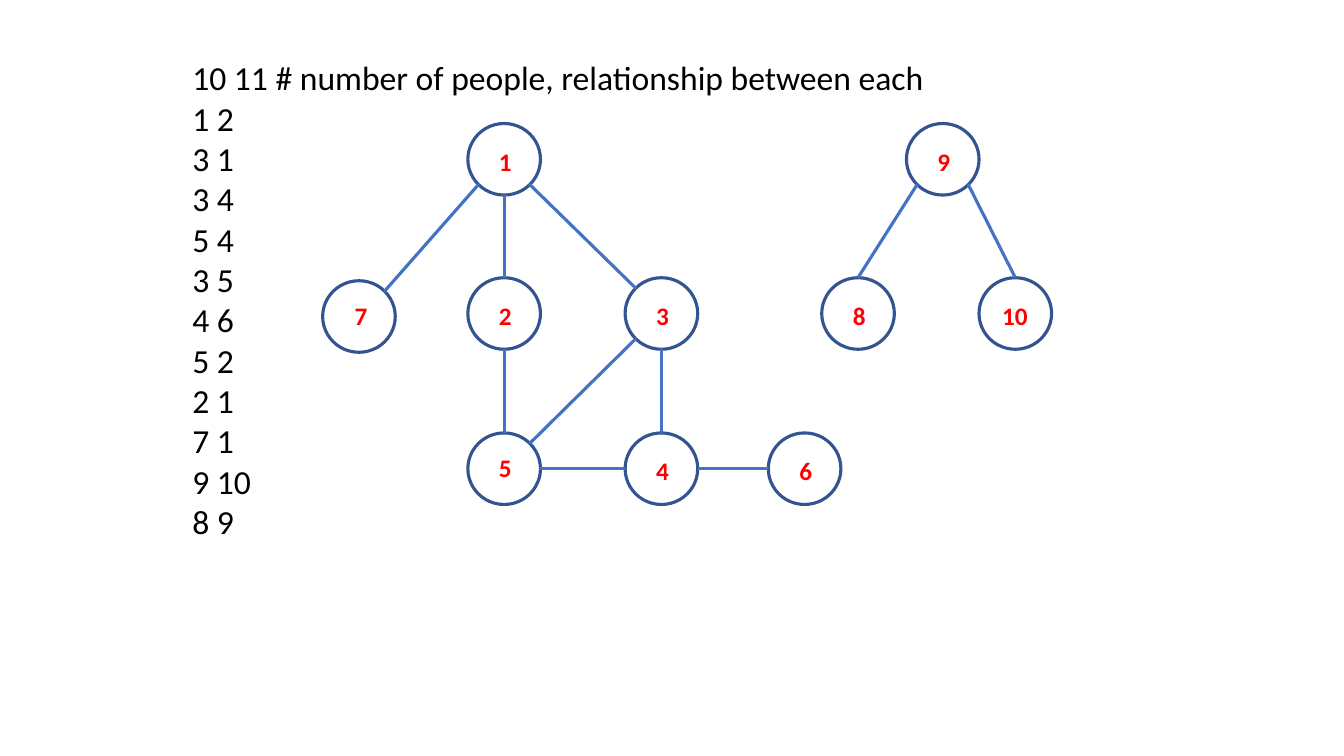
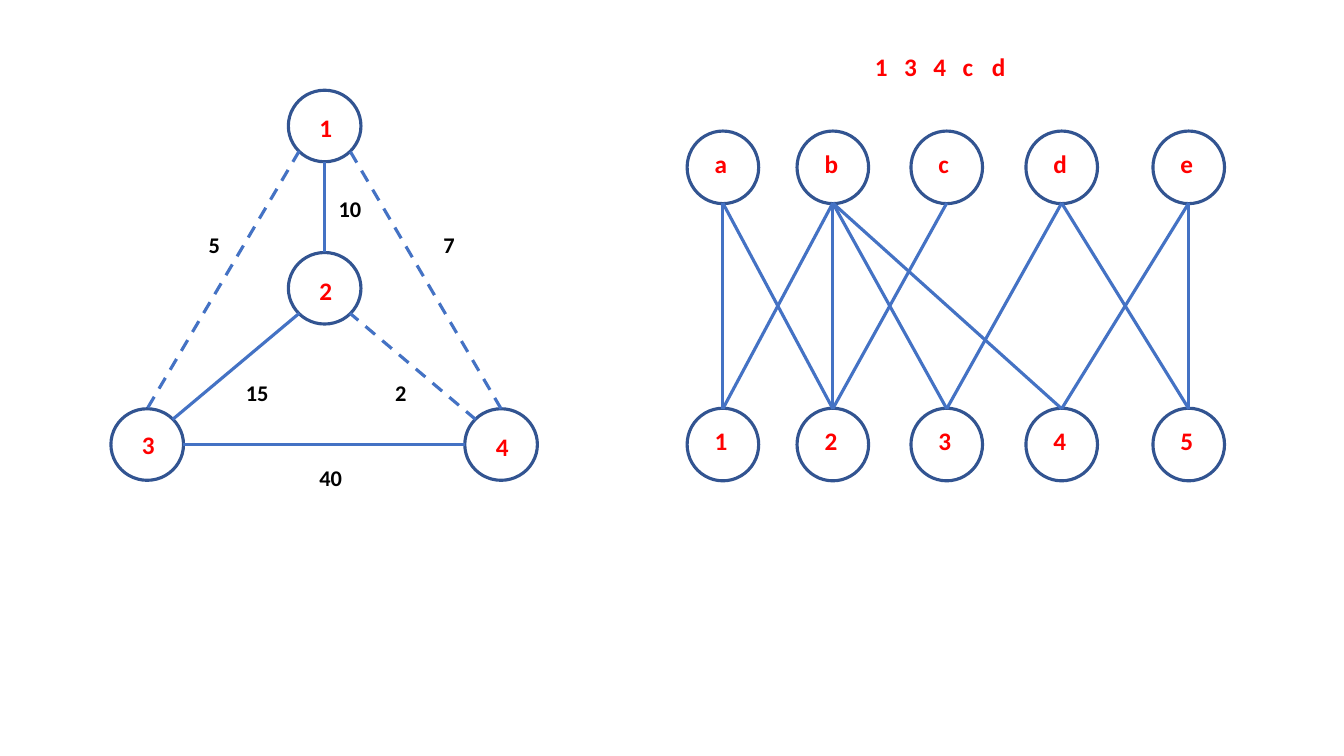
from dataclasses import dataclass
from typing import NamedTuple, Union

from lxml.etree import SubElement
from pptx import Presentation
from pptx.dml.color import RGBColor
from pptx.enum.dml import MSO_LINE
from pptx.enum.shapes import MSO_CONNECTOR, MSO_SHAPE
from pptx.enum.text import MSO_AUTO_SIZE
from pptx.oxml.ns import qn
from pptx.shapes.shapetree import GroupShapes, SlideShapes
from pptx.util import Emu, Inches, Pt

Shapes = Union[SlideShapes, GroupShapes]

# Shared look; the grid has square cells of one inch
CELL = Inches(1)
WIDE, HIGH = 13.33, 7.5
FONT = "Calibri"
HUES = {"fill": "FFFFFF", "ring": "325491", "edge": "4472C4",
        "name": "FF0000", "text": "000000"}
LINE = Pt(2.25)
NODE_W, NODE_H = 0.72, 0.71
TAG_W = 0.63

# Points on a circle's rim, as shares of its size from the centre
RIM = {"n": (0, -0.5), "s": (0, 0.5), "w": (-0.5, 0), "e": (0.5, 0),
       "nw": (-0.35, -0.35), "ne": (0.35, -0.35),
       "sw": (-0.35, 0.35), "se": (0.35, 0.35)}


@dataclass
class Node:
    name: str
    col: float
    row: float
    dx: float = -0.15
    dy: float = -0.18
    turn: int = 0


class Edge(NamedTuple):
    start: str
    out: str
    end: str
    into: str
    dash: bool = False


class Cost(NamedTuple):
    text: str
    col: float
    row: float


def grid(cells: float) -> Emu:
    return Emu(round(cells * CELL))


def hue(key: str) -> RGBColor:
    return RGBColor.from_string(HUES[key])


def add_text(shapes: Shapes, lines: list[str], col: float, row: float,
             wide: float, high: float, size: int, key: str = "name",
             bold: bool = True, tab: float = 0) -> None:
    box = shapes.add_textbox(grid(col), grid(row), grid(wide), grid(high))
    frame = box.text_frame
    frame.word_wrap = True
    frame.auto_size = MSO_AUTO_SIZE.SHAPE_TO_FIT_TEXT
    for i, line in enumerate(lines):
        para = frame.add_paragraph() if i else frame.paragraphs[0]
        if tab:
            stops = SubElement(para._p.get_or_add_pPr(), qn("a:tabLst"))
            for n in range(1, line.count("\t") + 1):
                SubElement(stops, qn("a:tab"), pos=str(grid(n * tab)), algn="l")
        run = para.add_run()
        run.text = line
        run.font.name = FONT
        run.font.size = Pt(size)
        run.font.bold = bold
        run.font.color.rgb = hue(key)


def add_node(shapes: Shapes, node: Node) -> None:
    ring = shapes.add_shape(
        MSO_SHAPE.OVAL, grid(node.col - NODE_W / 2), grid(node.row - NODE_H / 2),
        grid(NODE_W), grid(NODE_H))
    ring.rotation = node.turn
    ring.shadow.inherit = False
    ring.fill.solid()
    ring.fill.fore_color.rgb = hue("fill")
    ring.line.color.rgb = hue("ring")
    ring.line.width = LINE
    add_text(shapes, [node.name], node.col + node.dx, node.row + node.dy,
             TAG_W, 0.4, 18)


def rim(node: Node, side: str) -> tuple[Emu, Emu]:
    x, y = RIM[side]
    return grid(node.col + x * NODE_W), grid(node.row + y * NODE_H)


def add_edge(shapes: Shapes, edge: Edge, nodes: dict[str, Node]) -> None:
    line = shapes.add_connector(
        MSO_CONNECTOR.STRAIGHT, *rim(nodes[edge.start], edge.out),
        *rim(nodes[edge.end], edge.into))
    line.line.color.rgb = hue("edge")
    line.line.width = LINE
    if edge.dash:
        line.line.dash_style = MSO_LINE.DASH
    SubElement(line._element.spPr, qn("a:effectLst"))


def add_graph(shapes: Shapes, nodes: list[Node], edges: list[Edge]) -> None:
    for node in nodes:
        add_node(shapes, node)
    index = {node.name: node for node in nodes}
    for edge in edges:
        add_edge(shapes, edge, index)


deck = Presentation()
deck.slide_width, deck.slide_height = grid(WIDE), grid(HIGH)
blank = deck.slide_layouts[6]

# Slide 1: list of pairs and the people they link
PAIRS = ["10 11 # number of people, relationship between each",
         "1 2", "3 1", "3 4", "5 4", "3 5", "4 6", "5 2", "2 1", "7 1",
         "9 10", "8 9"]
TOP, MID, LOW = 1.58, 3.11, 4.65
PEOPLE = [
    Node("1", 5, TOP), Node("2", 5, MID), Node("3", 6.56, MID),
    Node("7", 3.56, 3.14, -0.14, -0.21), Node("4", 6.56, LOW),
    Node("5", 5, LOW, dy=-0.21), Node("6", 7.98, LOW), Node("8", 8.51, MID),
    Node("10", 10.07, MID, dx=-0.23), Node("9", 9.35, TOP),
]
TIES = [
    Edge("1", "sw", "7", "ne"), Edge("1", "se", "3", "nw"),
    Edge("1", "s", "2", "n"), Edge("2", "s", "5", "n"),
    Edge("3", "sw", "5", "ne"), Edge("3", "s", "4", "n"),
    Edge("4", "w", "5", "e"), Edge("6", "w", "4", "e"),
    Edge("9", "sw", "8", "n"), Edge("10", "n", "9", "se"),
]
shapes = deck.slides.add_slide(blank).shapes
add_text(shapes, PAIRS, 1.81, 0.52, 8.9, 4.95, 24, "text", bold=False)
add_graph(shapes, PEOPLE, TIES)

# Slide 2, left: graph with costs
BASE = 4.41
TOWNS = [Node("1", 3.22, 1.25), Node("3", 1.46, BASE, dy=-0.2),
         Node("4", 4.97, BASE), Node("2", 3.22, 2.86)]
ROADS = [
    Edge("4", "n", "1", "se", True), Edge("1", "sw", "3", "n", True),
    Edge("1", "s", "2", "n"), Edge("4", "nw", "2", "se", True),
    Edge("2", "sw", "3", "ne"), Edge("3", "e", "4", "w"),
]
COSTS = [Cost("5", 1.97, 2.24), Cost("7", 4.3, 2.24), Cost("40", 3.07, 4.56),
         Cost("15", 2.34, 3.71), Cost("2", 3.82, 3.71), Cost("10", 3.26, 1.89)]
shapes = deck.slides.add_slide(blank).shapes
add_graph(shapes, TOWNS, ROADS)
for cost in COSTS:
    add_text(shapes, [cost.text], cost.col, cost.row, TAG_W, 0.37, 16, "text")

# Slide 2, right: letters matched with digits
COLS = (7.17, 8.26, 9.39, 10.53, 11.79)
SIDES = {"12345": BASE, "abcde": 1.66}
LINKS = "a1 c2 a2 d3 b1 b2 b3 e4 e5 b4 d5".split()
match = shapes.add_group_shape().shapes
add_graph(
    match,
    [Node(name, col, row, -0.18, -0.24, 270)
     for names, row in SIDES.items() for name, col in zip(names, COLS)],
    [Edge(top, "s", low, "n") for top, low in LINKS])
add_text(match, ["\t".join("134cd")], 8.58, 0.46, 1.63, 0.4, 18, tab=0.29)

deck.save("out.pptx")
